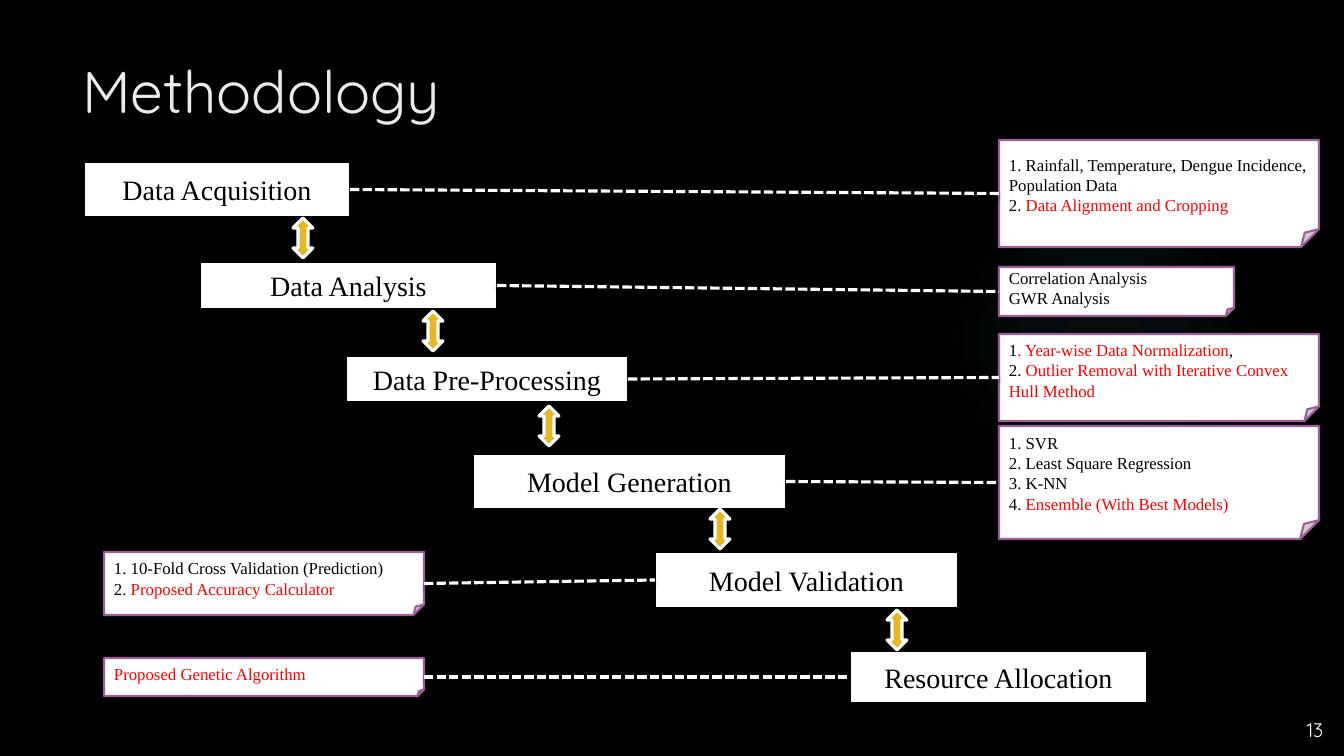
from pptx import Presentation
from pptx.dml.color import RGBColor
from pptx.enum.dml import MSO_LINE as Dash
from pptx.enum.shapes import MSO_CONNECTOR as Conn, MSO_SHAPE as Kind
from pptx.enum.text import MSO_ANCHOR as Anchor, PP_ALIGN as Align
from pptx.oxml import parse_xml
from pptx.oxml.ns import nsdecls
from pptx.util import Pt

SCALE = 914400 / 100.8
SERIF, SANS = "Times New Roman", "Quicksand"
BLACK, WHITE, RED = "000000", "FFFFFF", "FF0000"
LEFT, RIGHT = 1, 3


def color(code):
    return RGBColor.from_string(code)


def draw(kind, area, fill, edge, width):
    shape = slide.shapes.add_shape(kind, *[round(n * SCALE) for n in area])
    shape.shadow.inherit = False
    shape.fill.solid()
    shape.fill.fore_color.rgb = color(fill)
    shape.line.color.rgb = color(edge)
    shape.line.width = Pt(width)
    shape.text_frame.vertical_anchor = Anchor.MIDDLE
    return shape


deck = Presentation()
deck.slide_width = round(1344 * SCALE)
deck.slide_height = round(756 * SCALE)
slide = deck.slides.add_slide(deck.slide_layouts[5])
slide.background.fill.solid()
slide.background.fill.fore_color.rgb = color(BLACK)

glow = draw(Kind.OVAL, (949, 184, 310, 310), BLACK, BLACK, 1)
glow.line.fill.background()
stops = "".join(
    f'<a:gs pos="{pos}000"><a:srgbClr val="50B9C1"><a:alpha val="{alpha}000"/></a:srgbClr></a:gs>'
    for pos, alpha in [(0, 7), (36, 6), (69, 0)])
solid = glow.fill._xPr.solidFill if hasattr(glow.fill._xPr, "solidFill") else glow.fill._xPr.eg_fillProperties
glow.fill._xPr.replace(solid, parse_xml(
    f'<a:gradFill {nsdecls("a")}><a:gsLst>{stops}</a:gsLst><a:path path="circle">'
    '<a:fillToRect l="50000" t="50000" r="50000" b="50000"/></a:path></a:gradFill>'))

title = slide.shapes.title
title.left, title.top, title.width, title.height = [
    round(n * SCALE) for n in (72, 50, 1037, 154)]
title.text_frame.text = "Methodology"
title.text_frame.vertical_anchor = Anchor.TOP
head = title.text_frame.paragraphs[0]
head.alignment = Align.LEFT
head.font.name, head.font.size = SANS, Pt(42)
head.font.color.rgb = color("EBEBEB")

steps = [
    ("Data Acquisition", (84, 162, 266, 55), (999, 140, 320, 107),
     ["1. Rainfall, Temperature, Dengue Incidence, Population Data",
      "2. |Data Alignment and Cropping"]),
    ("Data Analysis", (200, 262, 297, 47), (999, 267, 235, 49),
     ["Correlation Analysis", "GWR Analysis"]),
    ("Data Pre-Processing", (346, 356, 282, 46), (999, 334, 320, 87),
     ["1|. Year-wise Data Normalization|,",
      "2. |Outlier Removal with Iterative Convex Hull Method"]),
    ("Model Generation", (473, 454, 313, 55), (999, 426, 320, 113),
     ["1. SVR", "2. Least Square Regression", "3. K-NN",
      "4. |Ensemble (With Best Models)"]),
    ("Model Validation", (655, 552, 303, 56), (104, 552, 320, 63),
     ["1. 10-Fold Cross Validation (Prediction)",
      "2. |Proposed Accuracy Calculator"]),
    ("Resource Allocation", (850, 651, 297, 52), (104, 658, 320, 38),
     ["|Proposed Genetic Algorithm"]),
]

pairs = []
for name, area, spot, lines in steps:
    box = draw(Kind.RECTANGLE, area, WHITE, BLACK, 1.5)
    box.text_frame.text = name
    para = box.text_frame.paragraphs[0]
    para.alignment = Align.CENTER
    para.font.name, para.font.size = SERIF, Pt(20)
    para.font.color.rgb = color(BLACK)

    note = draw(Kind.FOLDED_CORNER, spot, WHITE, "9E5E9B", 1.5)
    frame = note.text_frame
    for i, line in enumerate(lines):
        para = frame.add_paragraph() if i else frame.paragraphs[0]
        para.alignment = Align.LEFT
        para.font.name, para.font.size = SERIF, Pt(12)
        for j, part in enumerate(line.split("|")):
            if part:
                run = para.add_run()
                run.text = part
                run.font.color.rgb = color(RED if j % 2 else BLACK)
    pairs.append((box, note) if area[0] < spot[0] else (note, box))

for x, y in [(293, 218), (423, 311), (539, 406), (710, 509), (887, 610)]:
    draw(Kind.UP_DOWN_ARROW, (x, y, 20, 40), "E6B729", WHITE, 2.25)

for start, end in pairs:
    link = slide.shapes.add_connector(Conn.STRAIGHT, 0, 0, 0, 0)
    link.begin_connect(start, RIGHT)
    link.end_connect(end, LEFT)
    link.line.color.rgb = color(WHITE)
    link.line.width = Pt(2.25)
    link.line.dash_style = Dash.SQUARE_DOT
    link._element.spPr.append(parse_xml(
        f'<a:effectLst {nsdecls("a")}><a:outerShdw blurRad="{Pt(3)}" dist="{Pt(2)}" dir="5400000">'
        f'<a:srgbClr val="{BLACK}"><a:alpha val="45000"/></a:srgbClr></a:outerShdw></a:effectLst>'))

page = slide.shapes.add_textbox(*[round(n * SCALE) for n in (1286, 661, 58, 85)])
page.text_frame.word_wrap = True
page.text_frame.vertical_anchor = Anchor.BOTTOM
page.text_frame.text = "13"
para = page.text_frame.paragraphs[0]
para.alignment = Align.CENTER
para.font.name, para.font.size = SANS, Pt(14)
para.font.color.rgb = color(WHITE)

deck.save("out.pptx")
